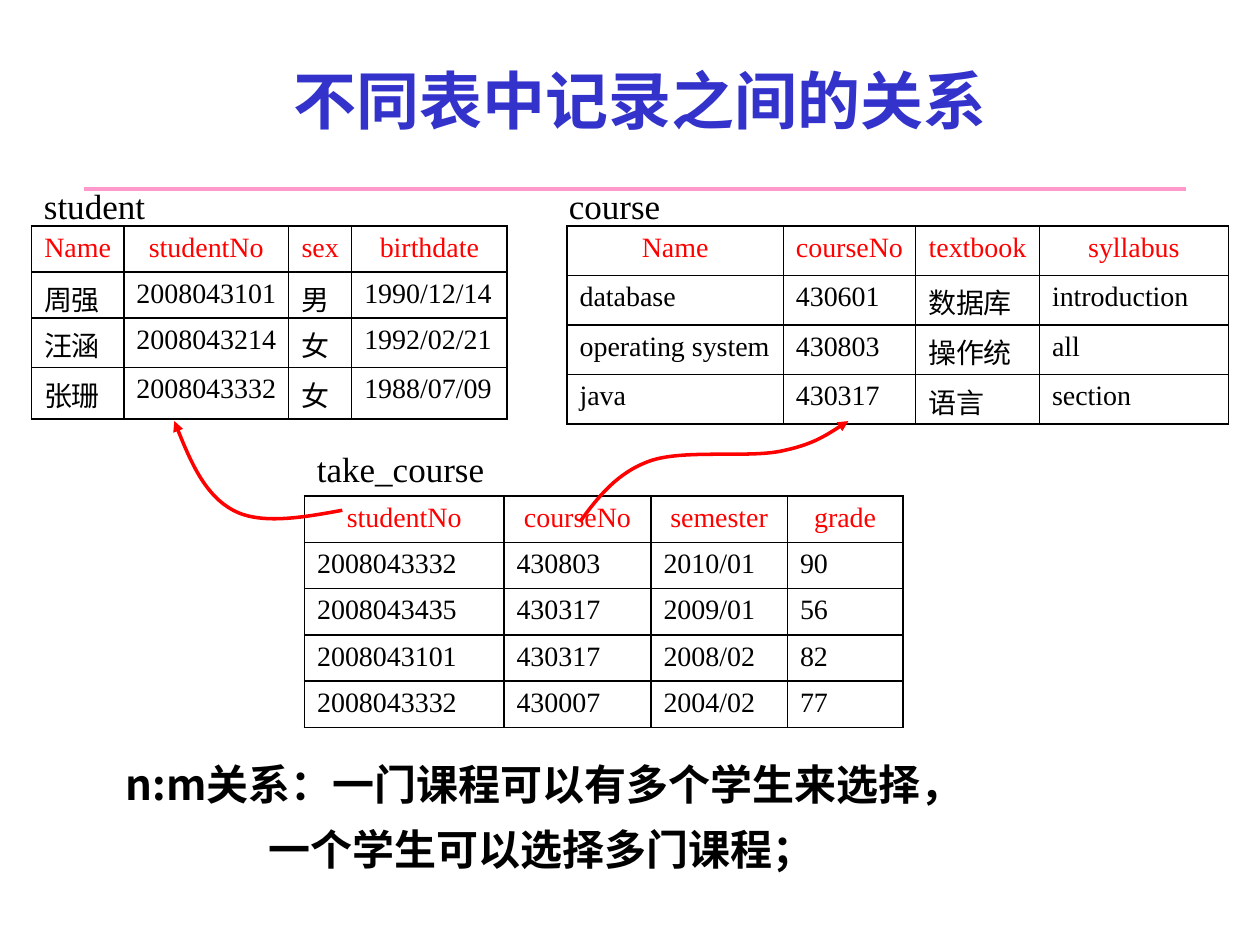
from dataclasses import dataclass

from lxml.etree import SubElement
from pptx import Presentation
from pptx.dml.color import RGBColor as Color
from pptx.enum.shapes import MSO_CONNECTOR as Connector
from pptx.enum.text import MSO_ANCHOR as Anchor, PP_ALIGN as Align
from pptx.oxml import parse_xml
from pptx.oxml.ns import nsdecls, qn
from pptx.util import Emu, Inches, Pt


@dataclass(frozen=True)
class Theme:
    heading: str = "3333CC"
    text: str = "000000"
    accent: str = "FF0000"
    rule: str = "FF99CC"
    latin: str = "Times New Roman"
    chinese: str = "Noto Sans CJK SC"
    title_size: int = 36
    body_size: int = 24
    label_size: int = 20
    cell_size: int = 16
    line_width: int = 2
    border_width: int = 1


THEME = Theme()
WIDTH, HEIGHT = Inches(10), Inches(7.5)
GRID_COLUMNS = 120
UNIT = WIDTH / GRID_COLUMNS


def grid(*values):
    return [Emu(round(value * UNIT)) for value in values]


def format_runs(paragraph, size, color, font_name=THEME.latin, bold=False):
    for run in paragraph.runs:
        font = run.font
        font.size, font.bold, font.name = Pt(size), bold, font_name
        font.color.rgb = Color.from_string(color)
        SubElement(font._element, qn("a:ea"), typeface=THEME.chinese)


def add_text(slide, box, text, anchor=Anchor.MIDDLE, wrap=True):
    shape = slide.shapes.add_textbox(*grid(*box))
    frame = shape.text_frame
    frame.text = text
    frame.word_wrap = wrap
    frame.vertical_anchor = anchor
    return frame


def add_title(slide, box, text):
    paragraph = add_text(slide, box, text).paragraphs[0]
    paragraph.alignment = Align.CENTER
    format_runs(paragraph, THEME.title_size, THEME.heading, THEME.chinese, True)


def add_label(slide, box, text):
    frame = add_text(slide, box, text, wrap=False)
    format_runs(frame.paragraphs[0], THEME.label_size, THEME.text)


def add_body(slide, box, lines, second_margin):
    frame = add_text(slide, box, "\n".join(lines), Anchor.TOP)
    for paragraph in frame.paragraphs:
        paragraph.line_spacing = 1.2
        format_runs(paragraph, THEME.body_size, THEME.text, THEME.chinese, True)
    second = frame.paragraphs[1]
    second.space_before = Pt(THEME.body_size / 10)
    margin, = grid(second_margin)
    second._p.get_or_add_pPr().set("marL", str(margin))


def add_rule(slide, left, right, top):
    rule = slide.shapes.add_connector(
        Connector.STRAIGHT, *grid(left, top, right, top))
    rule.line.color.rgb = Color.from_string(THEME.rule)
    rule.line.width = Pt(THEME.line_width)
    SubElement(rule._element.spPr, qn("a:effectLst"))


def set_borders(cell):
    properties = cell._tc.get_or_add_tcPr()
    for position, side in enumerate(("lnL", "lnR", "lnT", "lnB")):
        border = parse_xml(
            f'<a:{side} {nsdecls("a")} w="{Pt(THEME.border_width)}">'
            f'<a:solidFill><a:srgbClr val="{THEME.text}"/></a:solidFill>'
            f'</a:{side}>')
        properties.insert(position, border)


def fill_cell(cell, text, is_header):
    cell.text = text
    cell.fill.background()
    set_borders(cell)
    paragraph = cell.text_frame.paragraphs[0]
    paragraph.alignment = Align.CENTER if is_header else Align.LEFT
    format_runs(paragraph, THEME.cell_size,
                THEME.accent if is_header else THEME.text)


def add_grid_table(slide, left, top, widths, heights, records):
    frame = slide.shapes.add_table(
        len(heights), len(widths),
        *grid(left, top, sum(widths), sum(heights)))
    table = frame.table
    table.first_row = table.horz_banding = False
    for column, width in zip(table.columns, grid(*widths)):
        column.width = width
    for row, height in zip(table.rows, grid(*heights)):
        row.height = height
    for row_index, record in enumerate(records):
        for column_index, text in enumerate(record):
            fill_cell(table.cell(row_index, column_index), text, row_index == 0)


def add_curved_arrow(slide, points):
    start, *others = [grid(*point) for point in points]
    builder = slide.shapes.build_freeform(*start)
    builder.add_line_segments(others, close=False)
    shape = builder.convert_to_shape()
    shape.shadow.inherit = False
    shape.fill.background()
    shape.line.color.rgb = Color.from_string(THEME.accent)
    shape.line.width = Pt(THEME.line_width)
    SubElement(shape.line._get_or_add_ln(), qn("a:tailEnd"), type="triangle")

    outline = next(shape._element.iter(qn("a:path")))
    segments = outline.findall(qn("a:lnTo"))
    for first in range(0, len(segments), 3):
        curve = SubElement(outline, qn("a:cubicBezTo"))
        for segment in segments[first:first + 3]:
            curve.append(segment[0])
            outline.remove(segment)


def main():
    presentation = Presentation()
    presentation.slide_width, presentation.slide_height = WIDTH, HEIGHT
    slide = presentation.slides.add_slide(presentation.slide_layouts[6])

    add_rule(slide, 8, 113, 18)
    add_title(slide, (10, 2, 102, 15), "不同表中记录之间的关系")
    add_body(slide, (10.8, 70.7, 89, 14),
             ["n:m关系：一门课程可以有多个学生来选择，", "一个学生可以选择多门课程；"], 13.6)

    add_label(slide, (3, 17, 22, 5.2), "student")
    add_grid_table(slide, 3, 21.5, [8.8, 15.7, 6, 14.8], [4.4, 4.4, 4.7, 4.9], [
        ("Name", "studentNo", "sex", "birthdate"),
        ("周强", "2008043101", "男", "1990/12/14"),
        ("汪涵", "2008043214", "女", "1992/02/21"),
        ("张珊", "2008043332", "女", "1988/07/09"),
    ])

    add_label(slide, (29, 42, 18.4, 5.2), "take_course")
    add_grid_table(slide, 29, 47.25, [19, 14, 13, 11], [4.4] * 5, [
        ("studentNo", "courseNo", "semester", "grade"),
        ("2008043332", "430803", "2010/01", "90"),
        ("2008043435", "430317", "2009/01", "56"),
        ("2008043101", "430317", "2008/02", "82"),
        ("2008043332", "430007", "2004/02", "77"),
    ])

    add_label(slide, (53, 17, 11.2, 5.2), "course")
    add_grid_table(slide, 54, 21.5, [20.6, 12.6, 11.8, 18], [4.72] * 4, [
        ("Name", "courseNo", "textbook", "syllabus"),
        ("database", "430601", "数据库", "introduction"),
        ("operating system", "430803", "操作统", "all"),
        ("java", "430317", "语言", "section"),
    ])

    add_curved_arrow(slide, [
        (32.6, 48.6), (28.8, 49.3), (24.8, 50), (22.2, 48.6),
        (19.6, 47.2), (18, 43.7), (16.6, 40.1)])
    add_curved_arrow(slide, [
        (55.3, 49.6), (57, 47.3), (58.8, 45), (61.9, 43.9),
        (65, 42.8), (71, 43.6), (74.2, 43),
        (77.3, 42.4), (79.1, 41.2), (80.8, 40.1)])

    presentation.save("out.pptx")


if __name__ == "__main__":
    main()
